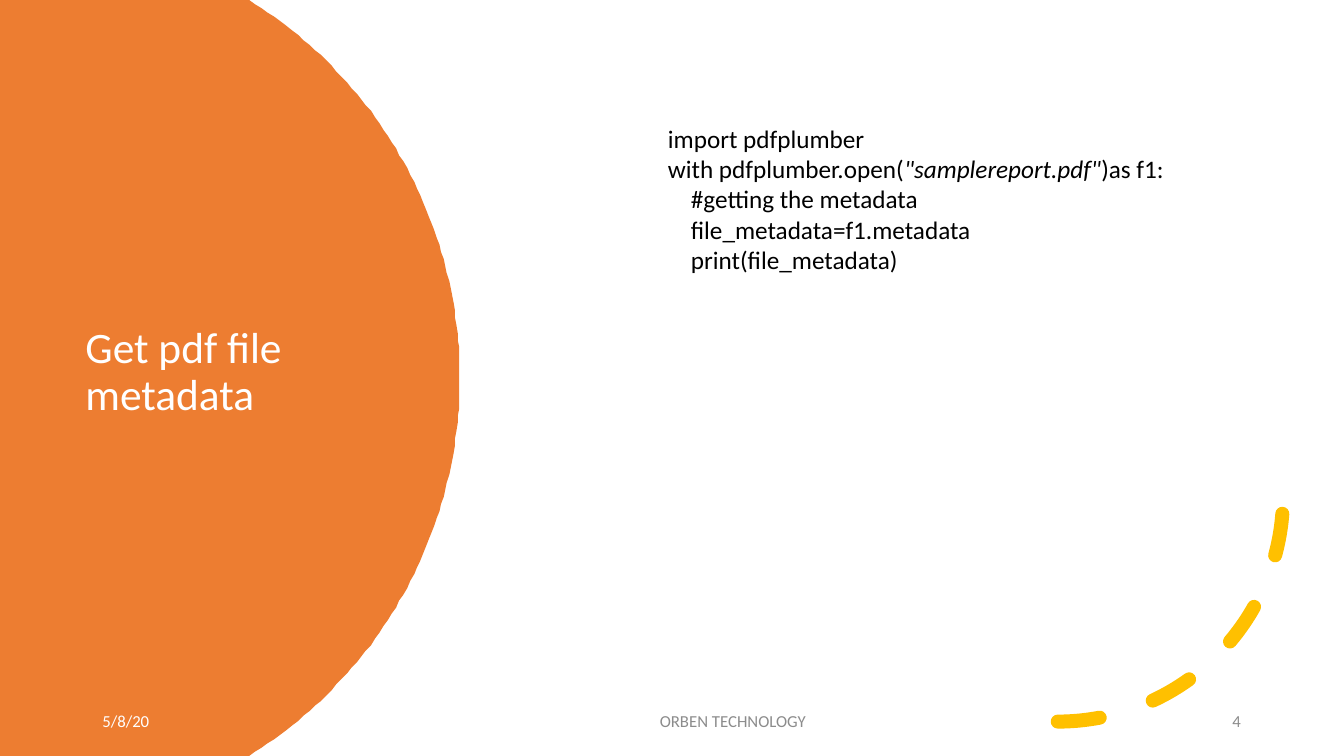
import math
import pptx
import pptx.util
import pptx.dml.color
import pptx.enum.dml
import pptx.enum.shapes
import pptx.enum.text

Pt = pptx.util.Pt
ALIGN = pptx.enum.text.PP_ALIGN
ANCHOR = pptx.enum.text.MSO_ANCHOR

# Content: a line is (indent level, [(text, italic), ...])
TITLE = [(0, [("Get pdf file metadata", False)])]
CODE = [
    (0, [("import pdfplumber", False)]),
    (0, [("with pdfplumber.open(", False), ('"samplereport.pdf"', True), (")as f1:", False)]),
    (1, [("#getting the metadata", False)]),
    (1, [("file_metadata=f1.metadata", False)]),
    (1, [("print(file_metadata)", False)]),
]
# Footer: text, left, width, alignment, colour
FOOTER = [
    ("5/8/20", 66, 129, ALIGN.LEFT, "FFFFFF"),
    ("ORBEN TECHNOLOGY", 317, 413, ALIGN.CENTER, "8C8C8C"),
    ("4", 751, 142.5, ALIGN.RIGHT, "8C8C8C"),
]
WIDTH, HEIGHT = 960, 540
INDENT = 16.4

deck = pptx.Presentation()
deck.slide_width, deck.slide_height = Pt(WIDTH), Pt(HEIGHT)
page = deck.slides.add_slide(deck.slide_layouts[6])


def colour(hex_text):
    return pptx.dml.color.RGBColor.from_string(hex_text)


def apply(target, values):
    for name, value in values.items():
        setattr(target, name, value)


def add_text(place, lines, size, hex_text, frame_format, para_format):
    box = page.shapes.add_textbox(*map(Pt, place))
    apply(box.text_frame, frame_format)
    for number, (level, spans) in enumerate(lines):
        para = box.text_frame.add_paragraph() if number else box.text_frame.paragraphs[0]
        apply(para, para_format)
        if level:
            para._p.get_or_add_pPr().set("marL", str(Pt(INDENT * level)))
        for text, italic in spans:
            span = para.add_run()
            span.text = text
            apply(span.font, {"name": "Calibri", "size": Pt(size), "italic": italic})
            span.font.color.rgb = colour(hex_text)


# Orange disc, cut off by the left, top and bottom edges
centre_x, centre_y, radius = 10.8, HEIGHT / 2, 317.5
limit = math.asin(centre_y / radius)
steps = 120
rim = []
for step in range(steps + 1):
    angle = limit * (2 * step / steps - 1)
    rim.append((centre_x + radius * math.cos(angle), centre_y + radius * math.sin(angle)))
builder = page.shapes.build_freeform(0, 0, scale=Pt(1))
builder.add_line_segments(rim + [(0, HEIGHT)], close=True)
disc = builder.convert_to_shape()
disc.shadow.inherit = False
disc.fill.solid()
disc.fill.fore_color.rgb = colour("ED7D31")
disc.line.fill.background()

# Title
add_text((54, 91, 252, 351), TITLE, 31, "FFFFFF",
         {"word_wrap": True, "vertical_anchor": ANCHOR.MIDDLE}, {"line_spacing": 0.9})

# Dashed yellow arc with round ends
arc = page.shapes.add_shape(pptx.enum.shapes.MSO_SHAPE.ARC,
                            Pt(594.7), Pt(193.7), Pt(321.8), Pt(321.8))
arc.shadow.inherit = False
arc.fill.background()
arc.line.color.rgb = colour("FFC000")
apply(arc.line, {"width": Pt(10), "dash_style": pptx.enum.dml.MSO_LINE.DASH})
arc.line._get_or_add_ln().set("cap", "rnd")
arc._element.spPr.xfrm.set("flipV", "1")

# Footer
for text, left, width, alignment, hex_text in FOOTER:
    add_text((left, 500.5, width, 28.75), [(0, [(text, False)])], 12, hex_text,
             {"word_wrap": True, "vertical_anchor": ANCHOR.MIDDLE},
             {"alignment": alignment, "space_after": Pt(6)})

# Code
add_text((470, 84.5, 373, 138), CODE, 18, "000000",
         {"word_wrap": False, "auto_size": pptx.enum.text.MSO_AUTO_SIZE.SHAPE_TO_FIT_TEXT}, {})

deck.save("out.pptx")
